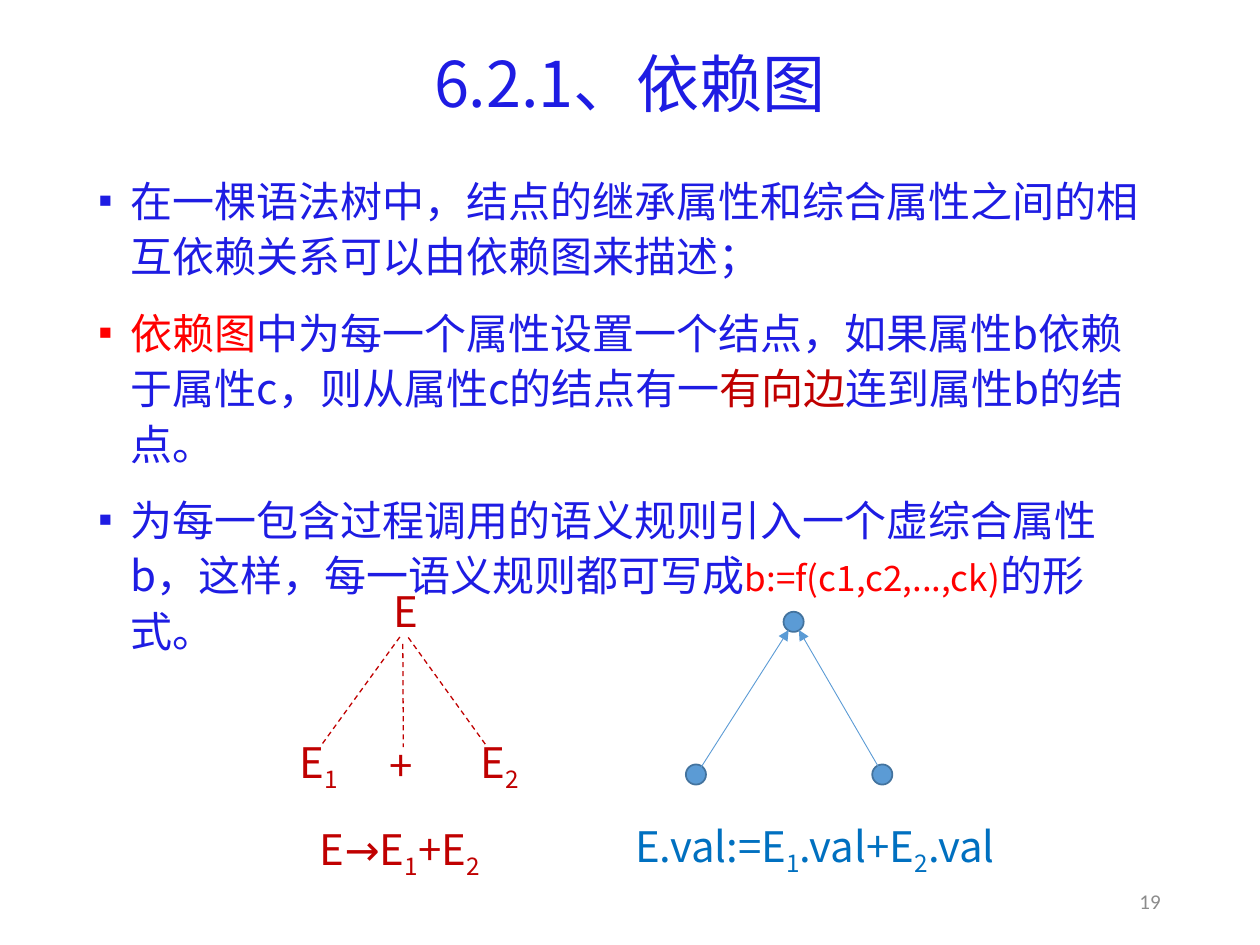
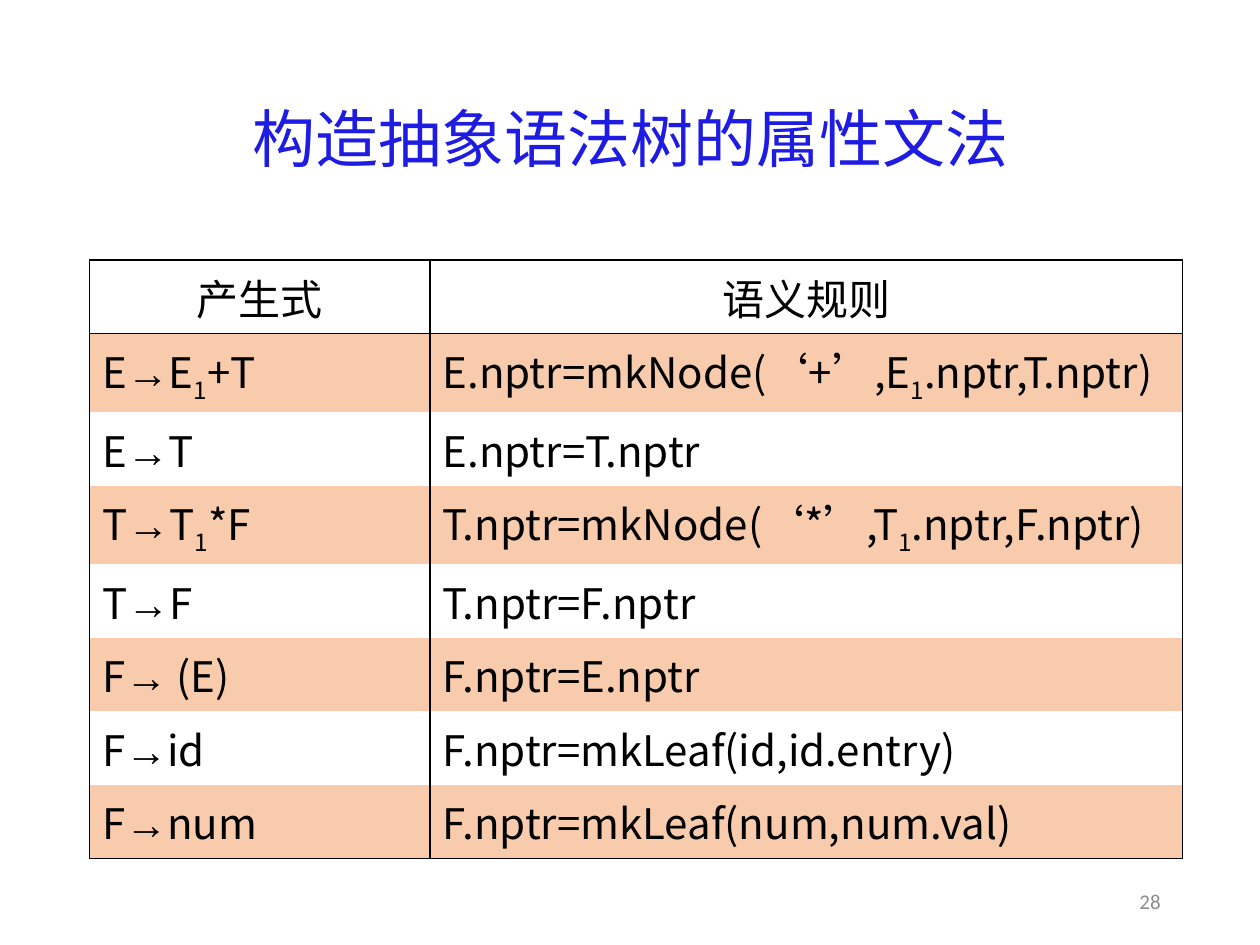
import itertools
from dataclasses import dataclass

import lxml.etree
import pptx
import pptx.dml.color
import pptx.enum.dml
import pptx.enum.lang
import pptx.enum.shapes
import pptx.enum.text
import pptx.oxml.ns
import pptx.util

ALIGN = pptx.enum.text.PP_ALIGN
MIDDLE = pptx.enum.text.MSO_ANCHOR.MIDDLE


@dataclass(frozen=True)
class Theme:
    """Colours, fonts and type sizes shared by the slides."""
    blue: str = "1E1CE3"
    red: str = "FF0000"
    dark_red: str = "C00000"
    rule_blue: str = "0070C0"
    node_fill: str = "5B9BD5"
    node_line: str = "43739E"
    black: str = "000000"
    grey: str = "8C8C8C"
    band: str = "F8CBAD"
    title_font: str = "Noto Sans CJK JP"
    body_font: str = "Noto Sans CJK SC"
    number_font: str = "Calibri"
    symbol_font: str = "Arial"
    title_size: int = 36
    body_size: int = 24
    code_size: int = 20
    number_size: int = 12


THEME = Theme()
NUMBER_BOX = (508.3, 500.4, 162, 29)

POINTS = [
    [("在一棵语法树中，结点的继承属性和综合属性之间的相互依赖关系可以由依赖图来描述；", THEME.blue)],
    [("依赖图", THEME.red),
     ("中为每一个属性设置一个结点，如果属性b依赖于属性c，则从属性c的结点有一", THEME.blue),
     ("有向边", THEME.dark_red),
     ("连到属性b的结点。", THEME.blue)],
    [("为每一包含过程调用的语义规则引入一个虚综合属性b，这样，每一语义规则都可写成", THEME.blue),
     ("b:=f(c1,c2,...,ck)", THEME.red, THEME.code_size),
     ("的形式。", THEME.blue)],
]

RULES = [
    ("产生式", "语义规则"),
    ("E→E₁+T", "E.nptr=mkNode(‘+’,E₁.nptr,T.nptr)"),
    ("E→T", "E.nptr=T.nptr"),
    ("T→T₁*F", "T.nptr=mkNode(‘*’,T₁.nptr,F.nptr)"),
    ("T→F", "T.nptr=F.nptr"),
    ("F→ (E)", "F.nptr=E.nptr"),
    ("F→id", "F.nptr=mkLeaf(id,id.entry)"),
    ("F→num", "F.nptr=mkLeaf(num,num.val)"),
]


def points(*values):
    """Turn numbers into point lengths."""
    return [pptx.util.Pt(value) for value in values]


def colour(code):
    """Return the colour object for a hex code."""
    return pptx.dml.color.RGBColor.from_string(code)


def add_element(parent, tag, **attributes):
    """Append a drawing element with its attributes."""
    return lxml.etree.SubElement(parent, pptx.oxml.ns.qn(tag), attributes)


def add_span(para, text, tint, size=THEME.body_size, font=THEME.body_font):
    """Add one run with its colour, size and font."""
    span = para.add_run()
    span.text = text
    span.font.size = pptx.util.Pt(size)
    span.font.color.rgb = colour(tint)
    span.font.name = font
    span.font.language_id = pptx.enum.lang.MSO_LANGUAGE_ID.SIMPLIFIED_CHINESE
    add_element(span.font._element, "a:ea", typeface=font)
    return span


def add_formula(para, formula, tint, arrow_font):
    """Add a formula whose subscripts and arrows get their own runs."""
    kind = lambda sign: sign if sign in "₁₂→" else ""
    for sign, signs in itertools.groupby(formula, kind):
        text = "".join(signs)
        if sign == "→":
            add_span(para, text, tint, font=arrow_font)
        elif sign:
            span = add_span(para, text.translate(str.maketrans("₁₂", "12")), tint)
            span.font._element.set("baseline", "-25000")
        else:
            add_span(para, text, tint)


def add_title(page, text, box):
    """Place and format the title placeholder."""
    title = page.shapes.title
    title.left, title.top, title.width, title.height = points(*box)
    frame = title.text_frame
    frame.auto_size = pptx.enum.text.MSO_AUTO_SIZE.NONE
    frame.vertical_anchor = MIDDLE
    para = frame.paragraphs[0]
    para.alignment = ALIGN.CENTER
    para.line_spacing = 0.9
    add_span(para, text, THEME.blue, THEME.title_size, THEME.title_font)


def add_page_number(page, number):
    """Write the page number at the lower right."""
    frame = page.shapes.add_textbox(*points(*NUMBER_BOX)).text_frame
    frame.word_wrap = True
    frame.vertical_anchor = MIDDLE
    para = frame.paragraphs[0]
    para.alignment = ALIGN.RIGHT
    add_span(para, str(number), THEME.grey, THEME.number_size, THEME.number_font)


def add_page(deck, title, title_box, number):
    """Add a titled, numbered slide."""
    page = deck.slides.add_slide(deck.slide_layouts[5])
    add_title(page, title, title_box)
    add_page_number(page, number)
    return page


def add_bullets(page, box):
    """Write the square-bulleted points."""
    frame = page.shapes.add_textbox(*points(*box)).text_frame
    frame.word_wrap = True
    for index, spans in enumerate(POINTS):
        para = frame.add_paragraph() if index else frame.paragraphs[0]
        properties = para._p.get_or_add_pPr()
        properties.set("marL", str(pptx.util.Pt(18)))
        properties.set("indent", str(pptx.util.Pt(-18)))
        properties.set("hangingPunct", "0")
        add_element(properties, "a:buSzPct", val="50000")
        add_element(properties, "a:buFont", typeface=THEME.symbol_font)
        add_element(properties, "a:buChar", char="■")
        para.line_spacing = 1.1
        para.space_before = pptx.util.Pt(6 if index else 0)
        para.space_after = pptx.util.Pt(6)
        for span in spans:
            add_span(para, *span)


def add_label(page, formula, centre, width, tint):
    """Centre a formula on a point."""
    height = 29
    x, y = centre
    box = page.shapes.add_textbox(*points(x - width / 2, y - height / 2, width, height))
    frame = box.text_frame
    frame.margin_left = frame.margin_right = frame.margin_top = frame.margin_bottom = 0
    frame.word_wrap = False
    frame.vertical_anchor = MIDDLE
    frame.paragraphs[0].alignment = ALIGN.CENTER
    add_formula(frame.paragraphs[0], formula, tint, "Comic Neue")


def add_line(page, start, end, tint, width):
    """Draw a straight line without a shadow."""
    line = page.shapes.add_connector(
        pptx.enum.shapes.MSO_CONNECTOR.STRAIGHT, *points(*start, *end))
    line.line.color.rgb = colour(tint)
    line.line.width = pptx.util.Pt(width)
    add_element(line._element.spPr, "a:effectLst")
    return line


def add_syntax_tree(page, left, top, width):
    """Draw the dashed syntax tree above its production."""
    place = lambda x, y: (left + x, top + y)
    for text, x, y in (("E", 85, 14), ("E₁", 35, 102), ("+", 82.5, 102), ("E₂", 138.5, 102)):
        add_label(page, text, place(x, y), 42, THEME.dark_red)
    for start, end in (((81.5, 29), (36.5, 91)), ((83.2, 33), (83.5, 92)), ((86.3, 29.3), (131, 91.2))):
        branch = add_line(page, place(*start), place(*end), THEME.dark_red, 0.75)
        branch.line.dash_style = pptx.enum.dml.MSO_LINE.DASH
    add_label(page, "E→E₁+E₂", place(width / 2, 151.7), width, THEME.dark_red)


def add_dependency_graph(page, left, top, width):
    """Draw the attribute nodes, their arrows and the semantic rule."""
    place = lambda x, y: (left + x, top + y)
    diameter = 11.5
    for x, y in ((117.3, 5.75), (61.5, 93), (168, 93)):
        corner = place(x - diameter / 2, y - diameter / 2)
        node = page.shapes.add_shape(
            pptx.enum.shapes.MSO_SHAPE.OVAL, *points(*corner, diameter, diameter))
        node.shadow.inherit = False
        node.fill.solid()
        node.fill.fore_color.rgb = colour(THEME.node_fill)
        node.line.color.rgb = colour(THEME.node_line)
        node.line.width = pptx.util.Pt(1)
    for start, end in (((63.5, 90.3), (114.5, 10.4)), ((166, 89), (120.3, 10.4))):
        edge = add_line(page, place(*start), place(*end), THEME.node_fill, 0.5)
        add_element(edge.line._get_or_add_ln(), "a:tailEnd", type="triangle")
    add_label(page, "E.val:=E₁.val+E₂.val", place(width / 2, 135.4), width, THEME.rule_blue)


def add_border(cell, side, visible):
    """Draw a thin black border on one side of a cell, or clear it."""
    border = add_element(cell._tc.get_or_add_tcPr(), f"a:ln{side}", w=str(pptx.util.Pt(1)))
    if visible:
        fill = add_element(border, "a:solidFill")
        add_element(fill, "a:srgbClr", val=THEME.black)
    else:
        add_element(border, "a:noFill")


def add_rule_table(page, left, top, widths, plain_height, subscript_height):
    """Build the banded table of productions and semantic rules."""
    last = len(RULES) - 1
    heights = [subscript_height if "₁" in production else plain_height for production, _ in RULES]
    size = points(left, top, sum(widths), sum(heights))
    table = page.shapes.add_table(len(RULES), len(widths), *size).table
    table.first_row = table.horz_banding = False
    for column, width in zip(table.columns, widths):
        column.width = pptx.util.Pt(width)
    for row, formulas in enumerate(RULES):
        table.rows[row].height = pptx.util.Pt(heights[row])
        sides = {"L": True, "R": True, "T": row < 2, "B": row in (0, last)}
        for column, formula in enumerate(formulas):
            cell = table.cell(row, column)
            for side, visible in sides.items():
                add_border(cell, side, visible)
            if row % 2:
                cell.fill.solid()
                cell.fill.fore_color.rgb = colour(THEME.band)
            else:
                cell.fill.background()
            para = cell.text_frame.paragraphs[0]
            para.alignment = ALIGN.LEFT if row else ALIGN.CENTER
            add_formula(para, formula, THEME.black, THEME.symbol_font)


def build_dependency_page(deck):
    """Build the slide that explains dependency graphs."""
    page = add_page(deck, "6.2.1、依赖图", (50, 25, 620, 49), 19)
    add_bullets(page, (49.6, 93.8, 620.6, 228))
    add_syntax_tree(page, 147, 335, 163)
    add_dependency_graph(page, 336.2, 349.6, 259)


def build_grammar_page(deck):
    """Build the slide with the attribute grammar."""
    page = add_page(deck, "构造抽象语法树的属性文法", (50, 29, 620, 104), 28)
    add_rule_table(page, 51.2, 148.6, (194.6, 429.9), 42, 45)


def main():
    """Build and save the deck."""
    deck = pptx.Presentation()
    deck.slide_width, deck.slide_height = points(720, 540)
    build_dependency_page(deck)
    build_grammar_page(deck)
    deck.save("out.pptx")


if __name__ == "__main__":
    main()
